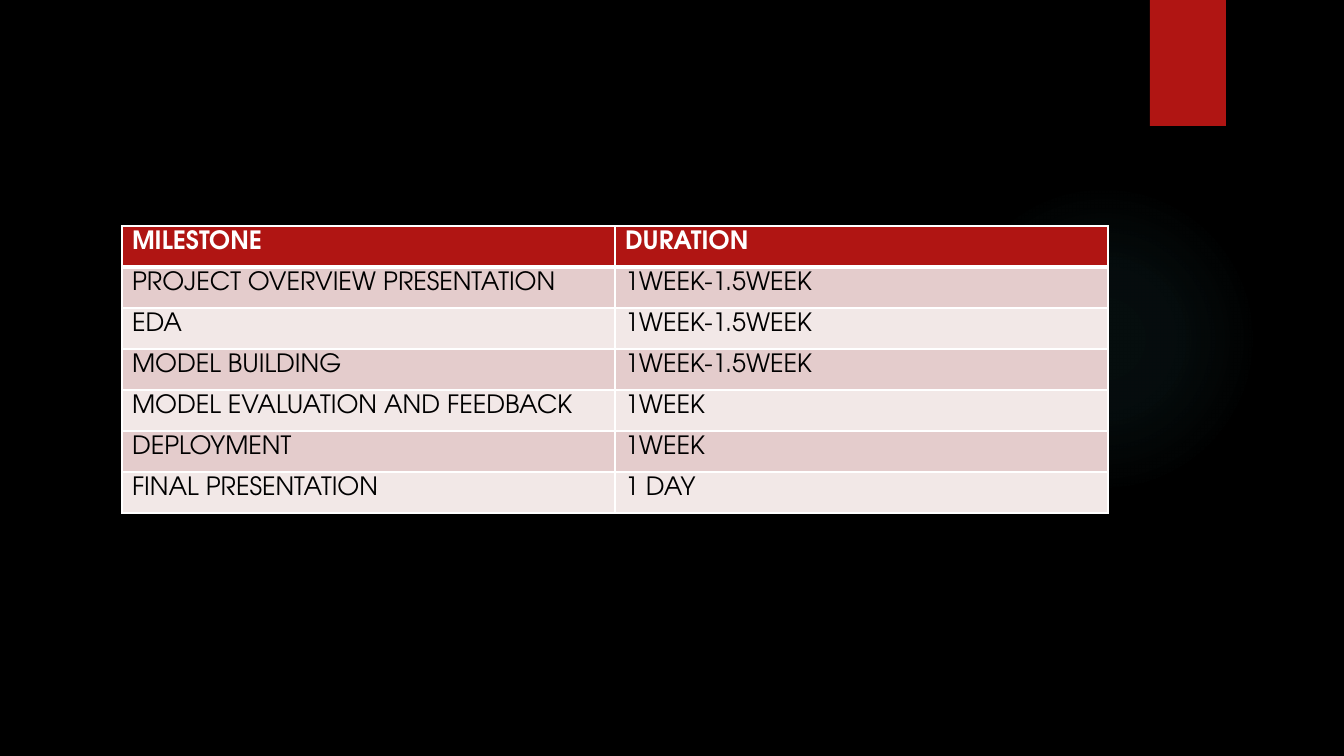
import lxml.etree
import pptx
import pptx.dml.color
import pptx.enum.shapes
import pptx.oxml.ns
import pptx.util

COLOURS = {
    "background": "000000",
    "red": "B01513",
    "glow": "50B9C1",
    "white": "FFFFFF",
    "black": "000000",
    "band_dark": "E4CCCC",
    "band_light": "F2E8E7",
}
MILESTONES = [
    ("MILESTONE", "DURATION"),
    ("PROJECT OVERVIEW PRESENTATION", "1WEEK-1.5WEEK"),
    ("EDA", "1WEEK-1.5WEEK"),
    ("MODEL BUILDING", "1WEEK-1.5WEEK"),
    ("MODEL EVALUATION AND FEEDBACK", "1WEEK"),
    ("DEPLOYMENT", "1WEEK"),
    ("FINAL PRESENTATION", "1 DAY"),
]
SHAPES = pptx.enum.shapes.MSO_SHAPE


def px(length):
    return pptx.util.Emu(round(length * 914400 / 100.8))


def colour(name):
    return pptx.dml.color.RGBColor.from_string(COLOURS[name])


def add_element(parent, tag, **attributes):
    element = lxml.etree.SubElement(parent, pptx.oxml.ns.qn(tag))
    for name, value in attributes.items():
        element.set(name, str(value))
    return element


class SlideBuilder:
    font = "TeX Gyre Adventor"
    font_size = 18

    def __init__(self, presentation):
        self.slide = presentation.slides.add_slide(presentation.slide_layouts[6])
        fill = self.slide.background.fill
        fill.solid()
        fill.fore_color.rgb = colour("background")

    def shape(self, kind, left, top, width, height, fill_name):
        shape = self.slide.shapes.add_shape(
            kind, px(left), px(top), px(width), px(height)
        )
        shape.shadow.inherit = False
        shape.line.fill.background()
        shape.fill.solid()
        shape.fill.fore_color.rgb = colour(fill_name)
        return shape

    def glow(self, left, top, size, fill_name, stops):
        shape = self.shape(SHAPES.OVAL, left, top, size, size, fill_name)
        properties = shape._element.spPr
        solid = properties.find(pptx.oxml.ns.qn("a:solidFill"))
        gradient = add_element(properties, "a:gradFill", rotWithShape=1)
        properties.replace(solid, gradient)
        stop_list = add_element(gradient, "a:gsLst")
        for position, opacity in stops:
            stop = add_element(stop_list, "a:gs", pos=position * 1000)
            stop_colour = add_element(stop, "a:srgbClr", val=COLOURS[fill_name])
            add_element(stop_colour, "a:alpha", val=opacity * 1000)
        circle = add_element(gradient, "a:path", path="circle")
        add_element(circle, "a:fillToRect", l=50000, t=50000, r=50000, b=50000)

    def border(self, cell, side, points):
        properties = cell._tc.get_or_add_tcPr()
        line = add_element(properties, f"a:ln{side}", w=pptx.util.Pt(points))
        fill = add_element(line, "a:solidFill")
        add_element(fill, "a:srgbClr", val=COLOURS["white"])

    def cell(self, cell, text, fill_name, text_name, bold, thick_side):
        for side in "LRTB":
            self.border(cell, side, 3 if side == thick_side else 1)
        cell.fill.solid()
        cell.fill.fore_color.rgb = colour(fill_name)
        run = cell.text_frame.paragraphs[0].add_run()
        run.text = text
        run.font.name = self.font
        run.font.size = pptx.util.Pt(self.font_size)
        run.font.bold = bold
        run.font.color.rgb = colour(text_name)

    def table(self, left, top, column_width, row_height, rows):
        columns = len(rows[0])
        table = self.slide.shapes.add_table(
            len(rows), columns, px(left), px(top),
            px(column_width * columns), px(row_height * len(rows)),
        ).table
        for column in table.columns:
            column.width = px(column_width)
        for row_index, texts in enumerate(rows):
            table.rows[row_index].height = px(row_height)
            header = row_index == 0
            band = "band_dark" if row_index % 2 else "band_light"
            thick_side = {0: "B", 1: "T"}.get(row_index)
            for column_index, text in enumerate(texts):
                self.cell(
                    table.cell(row_index, column_index), text,
                    "red" if header else band,
                    "white" if header else "black",
                    header, thick_side,
                )


def main():
    presentation = pptx.Presentation()
    presentation.slide_width = px(1344)
    presentation.slide_height = px(756)
    builder = SlideBuilder(presentation)
    builder.glow(949, 184, 310, "glow", [(0, 7), (36, 6), (69, 0)])
    builder.shape(SHAPES.RECTANGLE, 1150, 0, 76, 126, "red")
    builder.table(122, 226, 493, 41, MILESTONES)
    presentation.save("out.pptx")


if __name__ == "__main__":
    main()
